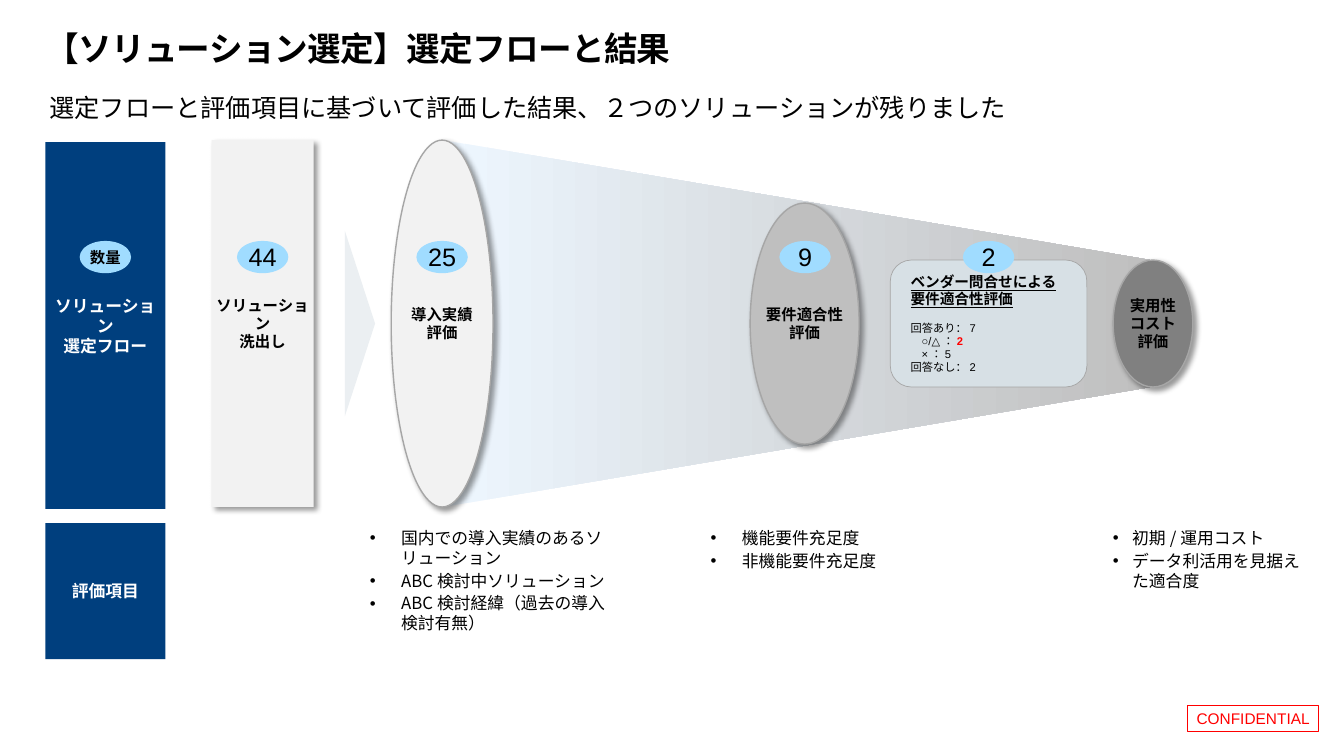
from dataclasses import dataclass
from pptx import Presentation
from pptx import util as u
from pptx.dml.color import RGBColor
from pptx.enum import shapes, text
from pptx.oxml import parse_xml
from pptx.oxml.ns import nsdecls, qn

KIND = shapes.MSO_SHAPE
MID, TOP, LOW = text.MSO_ANCHOR.MIDDLE, text.MSO_ANCHOR.TOP, text.MSO_ANCHOR.BOTTOM
LEFT, MIDST = text.PP_ALIGN.LEFT, text.PP_ALIGN.CENTER


@dataclass(frozen=True)
class Theme:
    sans: str = "Arial"
    noto: str = "Noto Sans CJK JP"
    ink: str = "000000"
    white: str = "FFFFFF"
    navy: str = "003F7E"
    pale: str = "F2F2F2"
    grey: str = "BFBFBF"
    dark: str = "808080"
    edge: str = "A6A6A6"
    sky: str = "A0DCFF"
    mist: str = "EEF7FF"
    arrow: str = "EBEFF2"
    card: str = "D7E0E5"
    red: str = "FF0000"
    title: float = 24
    lead: float = 18
    body: float = 12
    label: float = 11
    head: float = 10.5
    note: float = 8


T = Theme()


def rgb(code):
    return RGBColor.from_string(code)


def style(run, size, color, bold, face, under, track):
    font = run.font
    font.size, font.bold, font.underline = u.Pt(size), bold, under
    font.color.rgb = rgb(color)
    font.name = face
    props = run._r.get_or_add_rPr()
    props.append(parse_xml(f'<a:ea {nsdecls("a")} typeface="{T.noto}"/>'))
    if track:
        props.set("spc", str(int(track * 100)))


def write(frame, words, size=T.body, color=T.ink, bold=False, face=T.noto,
          under=False, track=0, align=LEFT, before=0, indent=0, bullet=False,
          key=None):
    """Add one paragraph per line; key is a closing red run."""
    for line in words.split("\n"):
        para = frame.paragraphs[0]
        if para.runs:
            para = frame.add_paragraph()
        para.alignment = align
        para.space_before = u.Pt(before)
        para.line_spacing = u.Pt(round(size * 1.18, 1))
        props = para._p.get_or_add_pPr()
        if indent:
            props.set("marL", str(u.Inches(indent)))
        if bullet:
            props.set("indent", str(-u.Inches(indent)))
            props.append(parse_xml(f'<a:buFont {nsdecls("a")} typeface="{T.sans}"/>'))
            props.append(parse_xml(f'<a:buChar {nsdecls("a")} char="•"/>'))
        run = para.add_run()
        run.text = line
        style(run, size, color, bold, face, under, track)
        if key:
            run = para.add_run()
            run.text = key
            style(run, size, T.red, True, face, under, track)


def setup(frame, anchor=MID, pad=(0.04, 0.04), wrap=True):
    frame.word_wrap, frame.vertical_anchor = wrap, anchor
    frame.margin_left = frame.margin_right = u.Inches(pad[0])
    frame.margin_top = frame.margin_bottom = u.Inches(pad[1])
    return frame


def area(slide, box, **opts):
    return setup(slide.shapes.add_textbox(*map(u.Inches, box)).text_frame, **opts)


def shape(slide, kind, box, fill=None, line=None, width=1, shade=False):
    item = slide.shapes.add_shape(kind, *map(u.Inches, box))
    if fill:
        item.fill.solid()
        item.fill.fore_color.rgb = rgb(fill)
    else:
        item.fill.background()
    if line:
        item.line.color.rgb = rgb(line)
        item.line.width = u.Pt(width)
    else:
        item.line.fill.background()
    item.shadow.inherit = False
    if shade:
        item._element.spPr.find(qn("a:effectLst")).append(parse_xml(
            f'<a:outerShdw {nsdecls("a")} blurRad="{u.Pt(4)}" dist="{u.Pt(3)}" '
            'dir="2700000" algn="tl" rotWithShape="0"><a:srgbClr val="000000">'
            '<a:alpha val="40000"/></a:srgbClr></a:outerShdw>'))
    return item


def header(slide, x, y, wide):
    frame = area(slide, (x, y, 10.2, 0.4), anchor=LOW, pad=(0, 0))
    write(frame, "【ソリューション選定】選定フローと結果", size=T.title, bold=True,
          face=T.sans, track=-0.5)
    frame = area(slide, (x, y + 0.4, wide, 0.78))
    write(frame, "選定フローと評価項目に基づいて評価した結果、２つのソリューションが残りました",
          size=T.lead)


def badge(slide, mid, y, words, **fmt):
    oval = shape(slide, KIND.OVAL, (mid - 0.255, y, 0.51, 0.32), T.sky)
    look = dict(size=T.lead, face=T.sans, align=MIDST) | fmt
    write(setup(oval.text_frame, wrap=False), words, **look)


def funnel(slide, x, y, wide, tall, tip):
    """Cone narrowing from tall to tip, shaded left to right."""
    gap = (tall - tip) / 2
    spots = [(x + wide, y + gap), (x + wide, y + gap + tip), (x, y + tall)]
    form = slide.shapes.build_freeform(u.Inches(x), u.Inches(y))
    form.add_line_segments([tuple(map(u.Inches, spot)) for spot in spots])
    cone = form.convert_to_shape()
    cone.fill.gradient()
    cone.fill.gradient_angle = 0
    for stop, color, place in zip(cone.fill.gradient_stops, (T.mist, T.grey), (0, 1)):
        stop.color.rgb = rgb(color)
        stop.position = place
    cone.line.fill.background()
    cone.shadow.inherit = False


def stage(slide, kind, mid, axis, wide, tall, fill, words, line=T.edge):
    box = (mid - wide / 2, axis - tall / 2, wide, tall)
    item = shape(slide, kind, box, fill, line, shade=True)
    frame = setup(item.text_frame, pad=(0, 0.04), wrap=kind == KIND.RECTANGLE)
    write(frame, words, size=T.label, bold=True, align=MIDST)


def panel(slide, box, words):
    item = shape(slide, KIND.RECTANGLE, box, T.navy)
    write(setup(item.text_frame, pad=(0.09, 0.05)), words, color=T.white,
          bold=True, align=MIDST)


def card(slide, box):
    item = shape(slide, KIND.ROUNDED_RECTANGLE, box, T.card, T.edge, 0.5)
    frame = setup(item.text_frame, pad=(0.14, 0.08))
    write(frame, "ベンダー問合せによる\n要件適合性評価", size=T.head, bold=True,
          face=T.sans, under=True)
    small = dict(size=T.note, face=T.sans)
    write(frame, "回答あり：7", before=9.5, **small)
    write(frame, "○/△：", indent=0.11, key="2", **small)
    write(frame, "×：5", indent=0.11, **small)
    write(frame, "回答なし：2", **small)


def flow(slide, x, y, tall):
    axis, row = y + tall / 2, y + 1
    funnel(slide, x + 3.94, y, 7.02, tall, 1.26)
    panel(slide, (x, y + 0.02, 1.19, tall), "ソリューション\n選定フロー")
    stage(slide, KIND.RECTANGLE, x + 2.155, axis, 1.01, tall, T.pale,
          "ソリューション\n洗出し", line=None)
    for mid, wide, high, fill, words in (
            (3.935, 1.01, tall, T.pale, "導入実績\n評価"),
            (7.53, 1.08, 2.39, T.grey, "要件適合性\n評価"),
            (10.985, 0.79, 1.26, T.dark, "実用性\nコスト\n評価")):
        stage(slide, KIND.OVAL, x + mid, axis, wide, high, fill, words)
    # Pointer into the funnel
    arrow = shape(slide, KIND.ISOSCELES_TRIANGLE, (x + 2.2, axis - 0.15, 1.84, 0.3), T.arrow)
    arrow.rotation = 90
    card(slide, (x + 8.38, axis - 0.63, 1.95, 1.26))
    # Counts
    badge(slide, x + 0.595, row, "数量", size=T.label, bold=True)
    for mid, count in ((2.155, "44"), (3.935, "25"), (7.535, "9"), (9.355, "2")):
        badge(slide, x + mid, row, count)


def items(slide, x, y, tall):
    panel(slide, (x, y, 1.19, tall), "評価項目")
    for left, wide, indent, words in (
            (3.12, 2.54, 0.31, "国内での導入実績のあるソリューション\n"
             "ABC検討中ソリューション\nABC検討経緯（過去の導入検討有無）"),
            (6.5, 3.4, 0.31, "機能要件充足度\n非機能要件充足度"),
            (10.49, 2.08, 0.19, "初期/運用コスト\nデータ利活用を見据えた適合度")):
        frame = area(slide, (x + left, y, wide, tall), anchor=TOP, pad=(0.1, 0.05))
        write(frame, words, before=2, indent=indent, bullet=True)


def stamp(slide, box):
    item = shape(slide, KIND.RECTANGLE, box, line=T.red, width=0.75)
    write(setup(item.text_frame, wrap=False), "CONFIDENTIAL", size=T.label,
          color=T.red, face=T.sans, align=MIDST)


def main():
    deck = Presentation()
    deck.slide_width, deck.slide_height = u.Inches(13.33), u.Inches(7.5)
    slide = deck.slides.add_slide(deck.slide_layouts[6])
    edge = 0.45
    stamp(slide, (11.78, 7, 1.3, 0.26))
    header(slide, edge, 0.28, 12.57)
    flow(slide, edge, 1.39, 3.64)
    items(slide, edge, 5.19, 1.35)
    deck.save("out.pptx")


if __name__ == "__main__":
    main()
